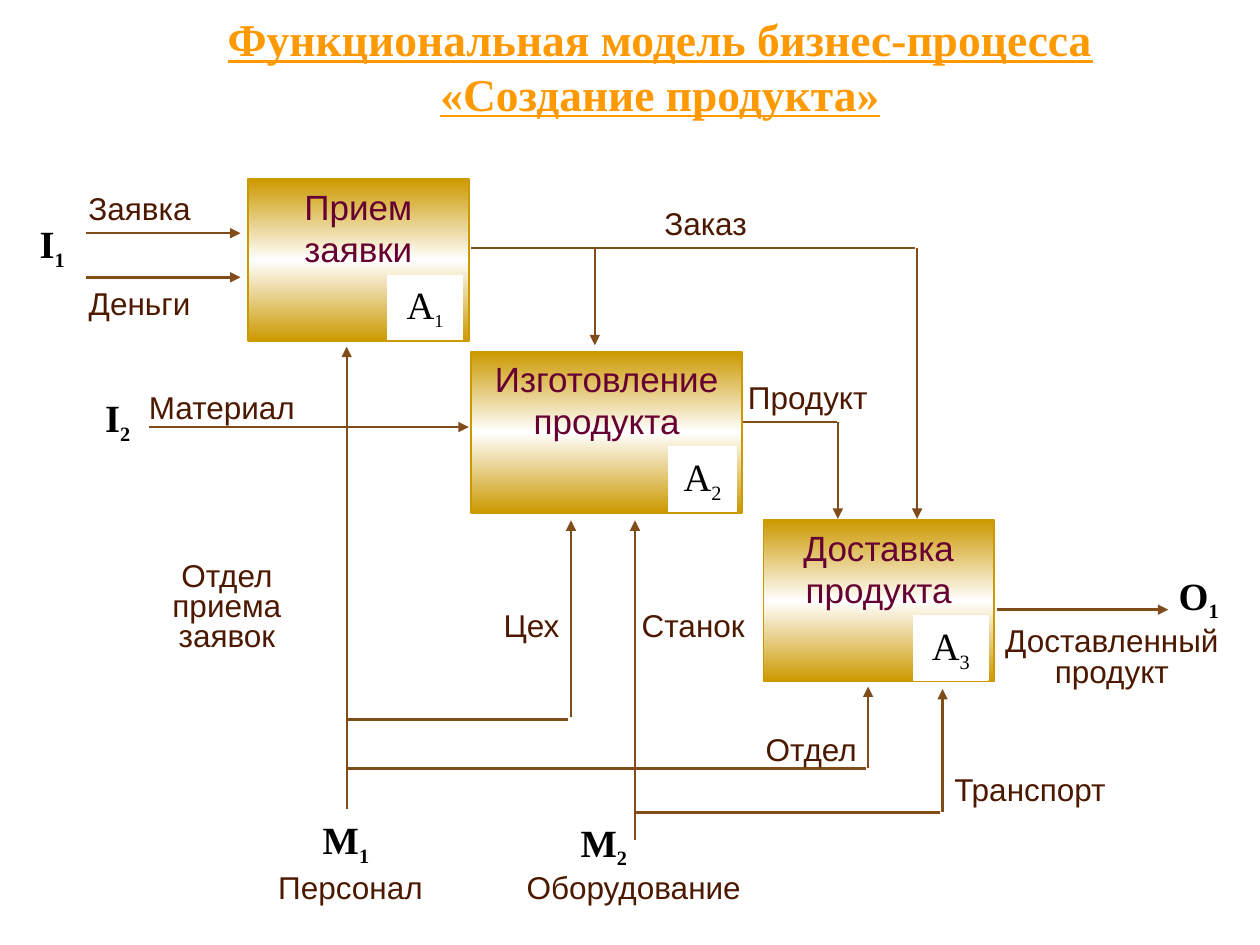
from copy import deepcopy

from lxml.etree import SubElement
from pptx import Presentation
from pptx.dml.color import RGBColor
from pptx.enum.shapes import MSO_CONNECTOR as LINE, MSO_SHAPE as SHAPE
from pptx.enum.text import MSO_ANCHOR as ANCHOR, MSO_AUTO_SIZE as AUTO, PP_ALIGN as ALIGN
from pptx.oxml.ns import qn
from pptx.util import Cm, Pt

ORANGE = RGBColor(0xFF, 0x99, 0x00)
GOLD = RGBColor(0xCC, 0x99, 0x00)
WHITE = RGBColor(0xFF, 0xFF, 0xFF)
BLACK = RGBColor(0x00, 0x00, 0x00)
PLUM = RGBColor(0x66, 0x00, 0x33)
DARK_BROWN = RGBColor(0x4C, 0x19, 0x00)
BROWN = RGBColor(0x80, 0x4C, 0x19)

# All positions and sizes are in centimetres.
TITLE = "Функциональная модель бизнес-процесса «Создание продукта»"
TITLE_BOX = (2.11, 0.1, 22.4, 2.46)

# paragraphs, box, tag index, tag width, index size
BLOCKS = [
    (["Прием", "заявки"], (5, 3.61, 4.45, 3.27), "1", 1.52, 18),
    (["Изготовление продукта"], (9.5, 7.09, 5.46, 3.25), "2", 1.35, 20),
    (["Доставка продукта"], (15.39, 10.49, 4.65, 3.25), "3", 1.5, 20),
]

# letter, index, left, top, width
MARKERS_UNDER_FLOWS = [
    ("I", "2", 1.7, 7.82, 1.35),
    ("М", "2", 11.4, 16.38, 1.55),
    ("О", "1", 23.39, 11.4, 1.55),
]
MARKERS_OVER_FLOWS = [
    ("I", "1", 0.38, 4.32, 1.35),
    ("М", "1", 6.2, 16.33, 1.55),
]

# text, left, top, width, lines
CAPTIONS = [
    ("Заявка", 1.09, 3.84, 3.45, 1),
    ("Деньги", 1.09, 5.74, 3.45, 1),
    ("Материал", 2.29, 7.85, 4.37, 1),
    ("Заказ", 12.5, 4.14, 3.45, 1),
    ("Продукт", 14.1, 7.65, 4.37, 1),
    ("Отдел приема заявок", 2.39, 11.23, 4.37, 3),
    ("Цех", 8.99, 12.24, 3.45, 1),
    ("Станок", 11.79, 12.24, 4.37, 1),
    ("Отдел", 14.78, 14.73, 3.15, 1),
    ("Транспорт", 18.39, 15.54, 4.75, 1),
    ("Доставленный продукт", 19.89, 12.55, 5.05, 2),
    ("Персонал", 3.89, 17.53, 6.35, 1),
    ("Оборудование", 9.6, 17.53, 6.35, 1),
]

# start x, start y, end x, end y
ARROWS = [
    (1.4, 4.7, 4.85, 4.7),
    (1.4, 5.59, 4.85, 5.59),
    (3, 8.61, 9.45, 8.61),
    (6.99, 16.43, 6.99, 6.99),
    (11.51, 14.45, 11.51, 10.49),
    (12.8, 16.94, 12.8, 10.49),
    (17.5, 15.49, 17.5, 13.84),
    (19, 16.36, 19, 13.89),
    (20.09, 12.29, 23.55, 12.29),
    (18.49, 5, 18.49, 10.46),
    (11.99, 5, 11.99, 6.96),
    (16.89, 8.51, 16.89, 10.46),
]
BRANCHES = [
    (9.5, 5, 18.44, 5),
    (14.88, 8.51, 16.87, 8.51),
    (6.99, 14.5, 11.46, 14.5),
    (6.99, 15.49, 17.45, 15.49),
    (12.8, 16.38, 18.95, 16.38),
]

TAG_HEIGHT, TAG_RIGHT_GAP, TAG_BOTTOM_GAP = 1.3, 0.12, 0.03
CAPTION_HEIGHT, CAPTION_LINE = 0.86, 0.61

TITLE_FONT = dict(name="Times New Roman", size=Pt(26), bold=True, underline=True)
BLOCK_FONT = dict(name="Arial", size=Pt(20))
CAPTION_FONT = dict(name="Arial", size=Pt(18))
SYMBOL_FONT = dict(name="Times New Roman", size=Pt(22))


def add_run(paragraph, text, color, font):
    run = paragraph.add_run()
    run.text = text
    for key, value in font.items():
        setattr(run.font, key, value)
    run.font.color.rgb = color
    return run


def prepare_frame(shape, grow=True):
    frame = shape.text_frame
    frame.word_wrap = True
    frame.vertical_anchor = ANCHOR.TOP
    frame.auto_size = AUTO.SHAPE_TO_FIT_TEXT if grow else AUTO.NONE
    frame.paragraphs[0].alignment = ALIGN.CENTER
    return frame


def add_box(slide, box):
    shape = slide.shapes.add_shape(SHAPE.RECTANGLE, *map(Cm, box))
    shape.shadow.inherit = False
    return shape


def fill_white(shape):
    shape.fill.solid()
    shape.fill.fore_color.rgb = WHITE


def add_symbol(slide, letter, index, box, bold=False, index_size=20):
    """White box with a letter and its subscript index."""
    symbol = add_box(slide, box)
    fill_white(symbol)
    symbol.line.color.rgb = WHITE
    symbol.line.width = Pt(0.75)
    paragraph = prepare_frame(symbol).paragraphs[0]
    font = dict(SYMBOL_FONT, bold=bold)
    add_run(paragraph, letter, BLACK, font)
    subscript = add_run(paragraph, index, BLACK, dict(font, size=Pt(index_size)))
    subscript.font._element.set("baseline", "-25000")


def add_markers(slide, markers):
    for letter, index, left, top, width in markers:
        add_symbol(slide, letter, index, (left, top, width, TAG_HEIGHT), bold=True)


def add_block(slide, paragraphs, box, index, tag_width, index_size):
    block = add_box(slide, box)
    block.fill.gradient()
    block.fill.gradient_angle = 90
    stops = block._element.spPr.find(".//" + qn("a:gsLst"))
    stops.insert(1, deepcopy(stops[0]))
    for stop, position, color in zip(block.fill.gradient_stops, (0, 0.5, 1), (GOLD, WHITE, GOLD)):
        stop.position = position
        stop.color.rgb = color
    block.line.color.rgb = GOLD
    block.line.width = Pt(1)
    frame = prepare_frame(block, grow=False)
    for number, text in enumerate(paragraphs):
        paragraph = frame.add_paragraph() if number else frame.paragraphs[0]
        paragraph.alignment = ALIGN.CENTER
        add_run(paragraph, text, PLUM, BLOCK_FONT)
    left, top, width, height = box
    tag_left = left + width - TAG_RIGHT_GAP - tag_width
    tag_top = top + height - TAG_BOTTOM_GAP - TAG_HEIGHT
    add_symbol(slide, "А", index, (tag_left, tag_top, tag_width, TAG_HEIGHT), index_size=index_size)


def add_flow(slide, points, arrow):
    flow = slide.shapes.add_connector(LINE.STRAIGHT, *map(Cm, points))
    flow.line.color.rgb = BROWN
    flow.line.width = Pt(1.42)
    if arrow:
        SubElement(flow.line._get_or_add_ln(), qn("a:tailEnd"), type="triangle")
    SubElement(flow._element.spPr, qn("a:effectLst"))


def add_caption(slide, text, left, top, width, lines):
    height = CAPTION_HEIGHT + CAPTION_LINE * (lines - 1)
    caption = slide.shapes.add_textbox(*map(Cm, (left, top, width, height)))
    paragraph = prepare_frame(caption).paragraphs[0]
    paragraph.line_spacing = 0.8
    add_run(paragraph, text, DARK_BROWN, CAPTION_FONT)


def main():
    deck = Presentation()
    deck.slide_width, deck.slide_height = Cm(25.4), Cm(19.05)
    slide = deck.slides.add_slide(deck.slide_layouts[6])

    title = add_box(slide, TITLE_BOX)
    fill_white(title)
    title.line.fill.background()
    add_run(prepare_frame(title).paragraphs[0], TITLE, ORANGE, TITLE_FONT)

    add_markers(slide, MARKERS_UNDER_FLOWS)
    for flows, arrow in ((BRANCHES, False), (ARROWS, True)):
        for points in flows:
            add_flow(slide, points, arrow)
    add_markers(slide, MARKERS_OVER_FLOWS)
    for block in BLOCKS:
        add_block(slide, *block)
    for caption in CAPTIONS:
        add_caption(slide, *caption)

    deck.save("out.pptx")


if __name__ == "__main__":
    main()
